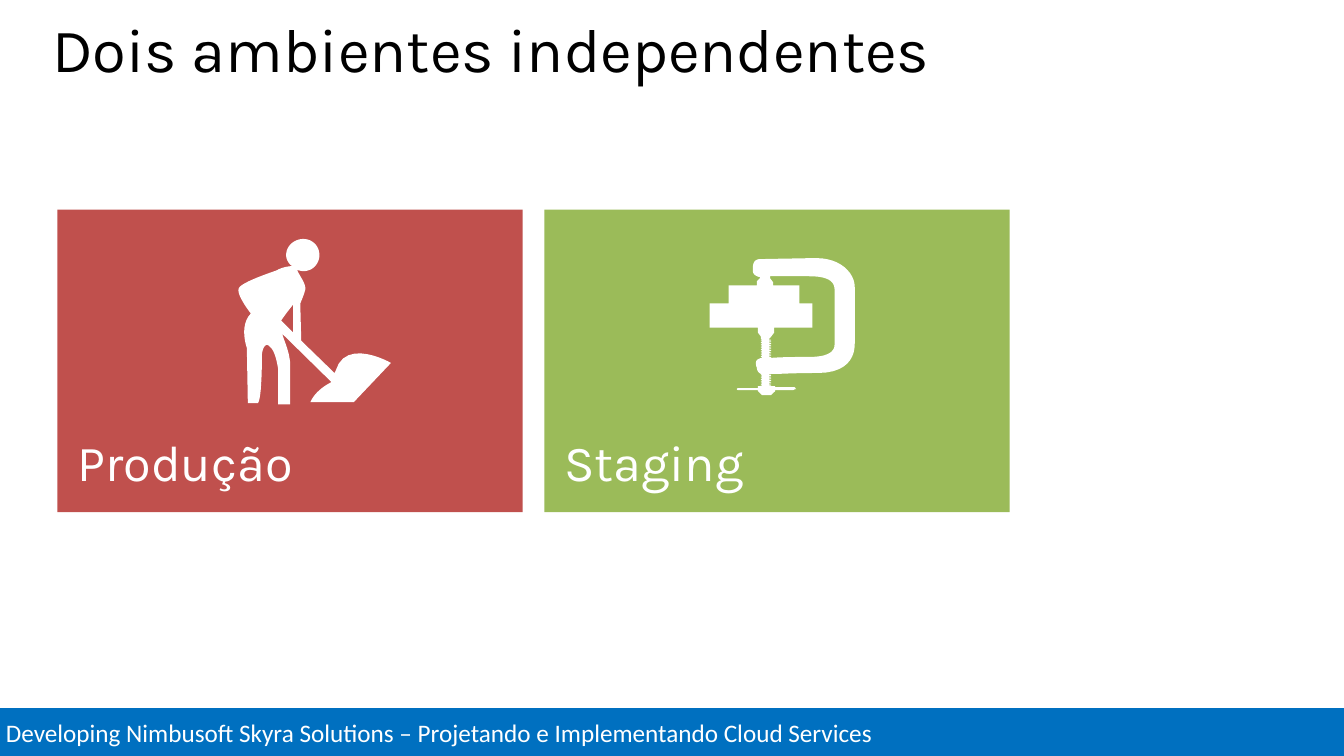
from dataclasses import dataclass

from pptx import Presentation
from pptx.dml.color import RGBColor
from pptx.enum.shapes import MSO_SHAPE
from pptx.enum.text import MSO_ANCHOR, MSO_AUTO_SIZE, PP_ALIGN
from pptx.util import Pt

WHITE = "FFFFFF"
ICON_UNIT = 0.72  # points per step of the icon drawing grid
CURVE_STEPS = 12

# A step is (x, y) for a line or (x1, y1, x2, y2, x, y) for a cubic curve
Step = tuple[float, ...]
Outline = list[Step]


@dataclass
class Tile:
    label: str
    colour: str
    icon_left: float
    icon_top: float
    icon: list[Outline]


def paint(shape, fill: str) -> None:
    """Give a shape a plain fill, with neither line nor shadow."""
    shape.shadow.inherit = False
    shape.fill.solid()
    shape.fill.fore_color.rgb = RGBColor.from_string(fill)
    shape.line.fill.background()


def write(shape, text: str, font: str, size: float, colour: str):
    """Write one left-aligned paragraph and return it."""
    para = shape.text_frame.paragraphs[0]
    para.alignment = PP_ALIGN.LEFT
    span = para.add_run()
    span.text = text
    span.font.name = font
    span.font.size = Pt(size)
    span.font.color.rgb = RGBColor.from_string(colour)
    return para


def set_margins(shape, left: float, top: float, right: float, bottom: float) -> None:
    frame = shape.text_frame
    frame.word_wrap = True
    frame.margin_left, frame.margin_top = Pt(left), Pt(top)
    frame.margin_right, frame.margin_bottom = Pt(right), Pt(bottom)


def thread(inner: float, outer: float, start: float, end: float, teeth: int) -> Outline:
    """One side of a screw thread, running from start to end."""
    pitch = (end - start) / teeth
    profile = ((outer, 0), (outer, 0.4), (inner, 0.5), (inner, 0.9))
    return [(x, start + (tooth + part) * pitch)
            for tooth in range(teeth) for x, part in profile]


def flatten(outline: Outline) -> list[tuple[int, int]]:
    """Turn lines and curves into a chain of points."""
    points = [outline[0]]
    for step in outline[1:]:
        if len(step) == 2:
            points.append(step)
            continue
        x0, y0 = points[-1]
        x1, y1, x2, y2, x3, y3 = step
        for index in range(1, CURVE_STEPS + 1):
            t = index / CURVE_STEPS
            a, b, c, d = (1 - t) ** 3, 3 * t * (1 - t) ** 2, 3 * t * t * (1 - t), t ** 3
            points.append((a * x0 + b * x1 + c * x2 + d * x3,
                           a * y0 + b * y1 + c * y2 + d * y3))
    return [(Pt(x * ICON_UNIT), Pt(y * ICON_UNIT)) for x, y in points]


def draw_icon(shapes, icon: list[Outline], left: float, top: float) -> None:
    chains = [flatten(outline) for outline in icon]
    builder = shapes.build_freeform(*chains[0][0])
    for number, chain in enumerate(chains):
        if number:
            builder.move_to(*chain[0])
        builder.add_line_segments(chain[1:], close=True)
    paint(builder.convert_to_shape(Pt(left), Pt(top)), WHITE)


def draw_tile(page, tile: Tile, left: float, top: float, width: float, height: float) -> None:
    group = page.shapes.add_group_shape()
    box = group.shapes.add_shape(MSO_SHAPE.RECTANGLE, Pt(left), Pt(top), Pt(width), Pt(height))
    paint(box, tile.colour)
    set_margins(box, 14.4, 0, 7.2, 14.4)
    box.text_frame.vertical_anchor = MSO_ANCHOR.BOTTOM
    write(box, tile.label, "Karla", 36, WHITE).space_after = Pt(12)
    draw_icon(group.shapes, tile.icon, left + tile.icon_left, top + tile.icon_top)


# Icons
WORKER: list[Outline] = [
    [(99, 131), (98, 133), (65, 101), (64, 64),
     (64, 64, 68, 55, 69, 50), (70, 45, 63, 36, 61, 31), (63, 31, 65, 32, 67, 32),
     (76, 32, 83, 25, 83, 16), (83, 7, 76, 0, 67, 0), (58, 0, 50, 7, 50, 16),
     (50, 21, 53, 25, 56, 27), (51, 27, 44, 29, 41, 31), (36, 33, 5, 43, 3, 49),
     (0, 55, 15, 74, 15, 74), (3, 86, 11, 108, 11, 108), (12, 163), (22, 163),
     (26, 158, 26, 119, 26, 115), (26, 111, 29, 101, 34, 107),
     (40, 112, 42, 129, 42, 129), (42, 164), (54, 164), (54, 123),
     (53, 111, 48, 101, 46, 94), (95, 142), (93, 143, 79, 150, 74, 162),
     (117, 162), (154, 123), (154, 123, 109, 97, 99, 131)],
    [(57, 93), (45, 81), (49, 75, 57, 65, 57, 65)],
]
CLAMP: list[Outline] = [[
    (144, 84), (144, 29), (144, 14, 129, 0, 106, 0), (103, 0, 50, 1, 50, 1),
    (44, 1, 43, 6, 43, 9), (43, 13), (43, 16, 46, 18, 50, 19), (50, 20), (47, 23),
    (47, 27), (19, 27), (19, 45), (0, 45), (0, 69), (102, 69), (102, 45), (89, 45),
    (89, 27), (63, 27), (63, 24), (60, 20), (60, 18), (74, 18, 96, 18, 99, 18),
    (122, 18, 124, 26, 124, 32), (124, 85), (125, 98, 104, 98, 100, 98),
    (98, 98, 73, 98, 61, 99),
    *thread(59, 61, 99, 80, 11),
    (61, 78), (64, 74), (64, 69), (48, 69), (48, 74), (51, 78),
    *thread(52, 51, 80, 99, 11),
    (48, 100, 46, 101, 46, 104), (46, 106, 46, 107, 47, 109), (47, 112, 49, 114, 51, 115),
    *thread(52, 51, 115, 127, 7),
    (48, 127), (48, 129), (30, 129), (28, 129, 27, 129, 27, 130),
    (27, 131, 28, 131, 30, 131), (48, 131), (48, 132), (52, 136), (61, 136), (65, 132),
    (65, 131), (83, 131), (84, 130, 86, 130, 86, 130), (85, 129),
    (85, 128, 84, 128, 83, 128), (65, 128), (65, 127), (60, 127),
    *thread(59, 61, 127, 115, 7),
    (61, 115), (69, 115, 84, 114, 107, 114), (144, 114, 144, 90, 144, 84),
]]

TILES = [
    Tile("Produção", "C0504D", 127.4, 20.9, WORKER),
    Tile("Staging", "9BBB59", 118.1, 34.6, CLAMP),
]
TILE_LEFT, TILE_TOP, TILE_WIDTH, TILE_HEIGHT, TILE_GAP = 41, 149.8, 332.4, 216, 15.4


def main() -> None:
    deck = Presentation()
    deck.slide_width, deck.slide_height = Pt(960), Pt(540)
    page = deck.slides.add_slide(deck.slide_layouts[5])

    # Title
    title = page.shapes.title
    title.left, title.top, title.width, title.height = Pt(30.2), Pt(14.4), Pt(907.2), Pt(83.5)
    set_margins(title, 7.2, 3.6, 7.2, 3.6)
    title.text_frame.auto_size = MSO_AUTO_SIZE.NONE
    title.text_frame.vertical_anchor = MSO_ANCHOR.TOP
    write(title, "Dois ambientes independentes", "Karla", 44, "000000").line_spacing = 0.8

    # Environment tiles
    for column, tile in enumerate(TILES):
        left = TILE_LEFT + column * (TILE_WIDTH + TILE_GAP)
        draw_tile(page, tile, left, TILE_TOP, TILE_WIDTH, TILE_HEIGHT)

    # Course banner
    banner = page.shapes.add_shape(MSO_SHAPE.RECTANGLE, Pt(-2.9), Pt(504.8), Pt(965), Pt(36.7))
    paint(banner, "0070C0")
    banner.line.color.rgb = RGBColor.from_string(WHITE)
    banner.line.width = Pt(2)
    set_margins(banner, 7.2, 3.6, 7.2, 3.6)
    banner.text_frame.vertical_anchor = MSO_ANCHOR.MIDDLE
    write(banner, "Developing Nimbusoft Skyra Solutions – Projetando e Implementando Cloud Services",
          "Calibri", 18, WHITE)

    deck.save("out.pptx")


if __name__ == "__main__":
    main()
